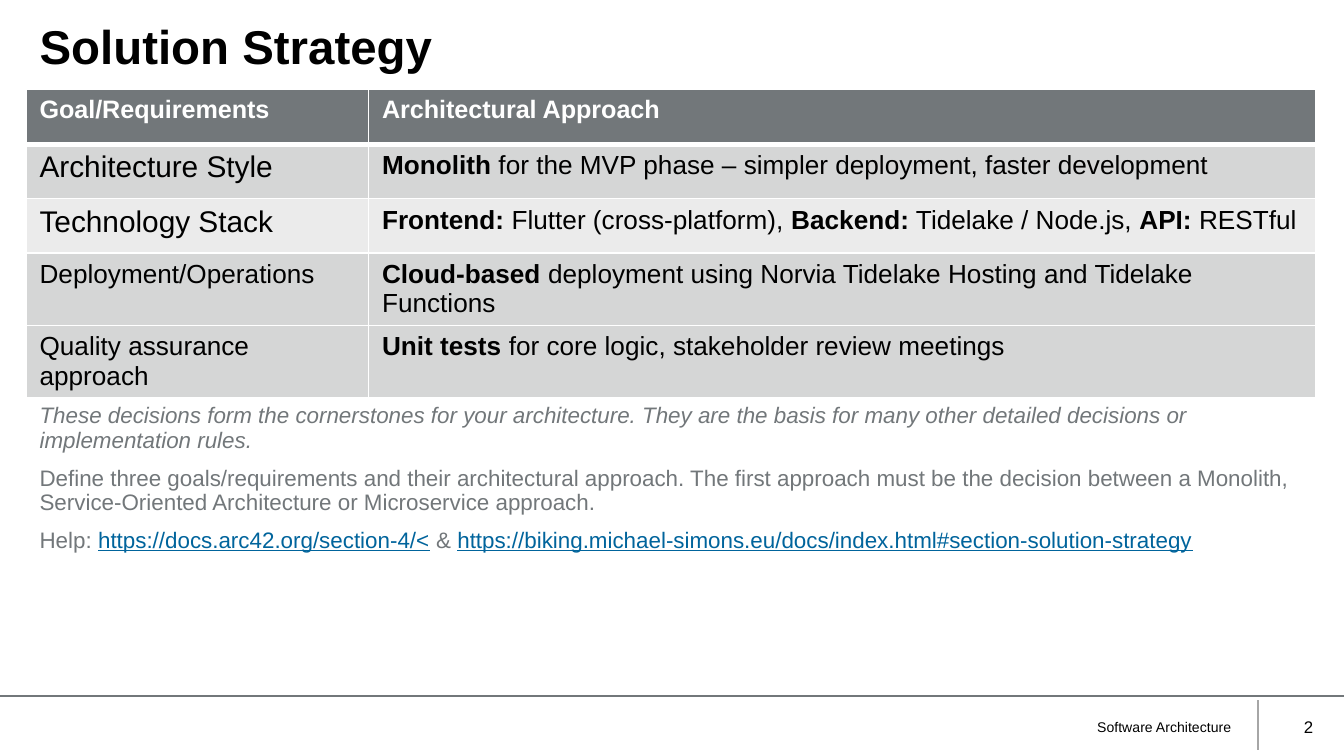
from lxml import etree
from pptx import Presentation
from pptx.dml.color import RGBColor
from pptx.enum.shapes import MSO_CONNECTOR
from pptx.enum.text import MSO_ANCHOR, MSO_AUTO_SIZE, PP_ALIGN
from pptx.oxml.ns import qn
from pptx.util import Pt

STRAIGHT = MSO_CONNECTOR.STRAIGHT
TOP, MIDDLE = MSO_ANCHOR.TOP, MSO_ANCHOR.MIDDLE
NO_FIT = MSO_AUTO_SIZE.NONE
LEFT, RIGHT = PP_ALIGN.LEFT, PP_ALIGN.RIGHT

BLACK = RGBColor(0x00, 0x00, 0x00)
WHITE = RGBColor(0xFF, 0xFF, 0xFF)
GREY = RGBColor(0x72, 0x77, 0x7A)
RULE_GREY = RGBColor(0xA6, 0xA6, 0xA6)
BAND_DARK = RGBColor(0xD5, 0xD6, 0xD6)
BAND_LIGHT = RGBColor(0xEB, 0xEB, 0xEB)
LINK_BLUE = RGBColor(0x00, 0x64, 0x9C)

FONT = "Arial"
PAGE_WIDTH, PAGE_HEIGHT = 720, 405
MARGIN = 14
CONTENT_WIDTH = 691
COLUMN_WIDTHS = (183.5, CONTENT_WIDTH - 183.5)
ROW_HEIGHT = 29.2
THIN, THICK = 0.96, 3

HEADINGS = ("Goal/Requirements", "Architectural Approach")
# Goal, goal text size, band colour, approach as (text, bold) parts
STRATEGY = [
    ("Architecture Style", 16, BAND_DARK,
     [("Monolith", True),
      (" for the MVP phase – simpler deployment, faster development", False)]),
    ("Technology Stack", 16, BAND_LIGHT,
     [("Frontend:", True), (" Flutter (cross-platform), ", False),
      ("Backend:", True), (" Tidelake / Node.js, ", False),
      ("API:", True), (" RESTful", False)]),
    ("Deployment/Operations", 14, BAND_DARK,
     [("Cloud-based", True),
      (" deployment using Norvia Tidelake Hosting and Tidelake Functions", False)]),
    ("Quality assurance approach", 14, BAND_DARK,
     [("Unit tests", True),
      (" for core logic, stakeholder review meetings", False)]),
]

LINK = {"color": LINK_BLUE, "underline": True}
NOTES = [
    [("These decisions form the cornerstones for your architecture. They are the "
      "basis for many other detailed decisions or implementation rules.",
      {"italic": True})],
    [("Define three goals/requirements and their architectural approach. The first "
      "approach must be the decision between a Monolith, Service-Oriented "
      "Architecture or Microservice approach.", {})],
    [("Help: ", {}),
     ("https://docs.arc42.org/section-4/<", LINK),
     (" & ", {}),
     ("https://biking.michael-simons.eu/docs/index.html#section-solution-strategy",
      LINK)],
]


def add_text(para, text, size=12, color=BLACK, bold=False, italic=False,
             underline=False):
    span = para.add_run()
    span.text = text
    font = span.font
    font.name, font.size = FONT, Pt(size)
    font.bold, font.italic, font.underline = bold, italic, underline
    font.color.rgb = color


def place(shape, box):
    shape.left, shape.top, shape.width, shape.height = map(Pt, box)


def set_frame(frame, anchor):
    frame.word_wrap = True
    frame.auto_size = NO_FIT
    frame.vertical_anchor = anchor


def add_rule(page, start, end, color):
    rule = page.shapes.add_connector(STRAIGHT, *map(Pt, start + end))
    rule.line.color.rgb = color
    rule.line.width = Pt(1)
    etree.SubElement(rule._element.spPr, qn("a:effectLst"))


def set_borders(cell, top, bottom):
    properties = cell._tc.get_or_add_tcPr()
    widths = {"lnL": THIN, "lnR": THIN, "lnT": top, "lnB": bottom}
    # Borders come before the fill in the cell properties
    for position, (side, width) in enumerate(widths.items()):
        line = etree.Element(qn(f"a:{side}"), w=str(int(Pt(width))))
        fill = etree.SubElement(line, qn("a:solidFill"))
        etree.SubElement(fill, qn("a:srgbClr"), val=str(WHITE))
        properties.insert(position, line)


def fill_cell(cell, parts, band, top=THIN, bottom=THIN, **text_format):
    cell.fill.solid()
    cell.fill.fore_color.rgb = band
    set_borders(cell, top, bottom)
    para = cell.text_frame.paragraphs[0]
    for text, bold in parts:
        add_text(para, text, bold=bold, **text_format)


def build_title(page, box):
    title = page.shapes.title
    place(title, box)
    set_frame(title.text_frame, MIDDLE)
    para = title.text_frame.paragraphs[0]
    para.alignment, para.line_spacing = LEFT, 0.9
    add_text(para, "Solution Strategy", size=25.4, bold=True)


def build_notes(page, box):
    body = page.placeholders[1]
    place(body, box)
    frame = body.text_frame
    set_frame(frame, TOP)
    for index, spans in enumerate(NOTES):
        para = frame.add_paragraph() if index else frame.paragraphs[0]
        para.line_spacing = 0.9
        para.space_before = para.space_after = Pt(3.7)
        properties = para._p.get_or_add_pPr()
        properties.set("marL", "0")
        properties.set("indent", "0")
        etree.SubElement(properties, qn("a:buNone"))
        for text, text_format in spans:
            add_text(para, text, **{"color": GREY, **text_format})


def build_strategy_table(page, box):
    table = page.shapes.add_table(len(STRATEGY) + 1, len(COLUMN_WIDTHS),
                                  *map(Pt, box)).table
    for column, width in zip(table.columns, COLUMN_WIDTHS):
        column.width = Pt(width)
    for row in table.rows:
        row.height = Pt(ROW_HEIGHT)
    # Heading row
    for column, heading in enumerate(HEADINGS):
        fill_cell(table.cell(0, column), [(heading, True)], GREY, bottom=THICK,
                  size=13.5, color=WHITE)
    # Goals and approaches
    for row, (goal, goal_size, band, approach) in enumerate(STRATEGY, start=1):
        top = THICK if row == 1 else THIN
        fill_cell(table.cell(row, 0), [(goal, False)], band, top, size=goal_size)
        fill_cell(table.cell(row, 1), approach, band, top, size=14)


def build_footer(page, box):
    left, top, width, height = box
    divider = left + 673.9
    add_rule(page, (divider, top + 2.2), (divider, top + height - 3.2), RULE_GREY)
    add_rule(page, (left, top), (left + width, top), GREY)
    for text, size, start, label_width in (
            ("Software Architecture", 7.5, 219.6, 447.1),
            ("2", 9, 672.5, 38.2)):
        label = page.shapes.add_textbox(Pt(left + start), Pt(top + 5.7),
                                        Pt(label_width), Pt(21.6))
        set_frame(label.text_frame, MIDDLE)
        para = label.text_frame.paragraphs[0]
        para.alignment = RIGHT
        add_text(para, text, size=size)


def main():
    deck = Presentation()
    deck.slide_width, deck.slide_height = Pt(PAGE_WIDTH), Pt(PAGE_HEIGHT)
    page = deck.slides.add_slide(deck.slide_layouts[1])
    build_footer(page, (0, 373, PAGE_WIDTH, PAGE_HEIGHT - 373))
    build_title(page, (MARGIN, 9, CONTENT_WIDTH, 34.6))
    build_notes(page, (MARGIN, 213.1, CONTENT_WIDTH, 150))
    build_strategy_table(page, (MARGIN, 48, CONTENT_WIDTH,
                                ROW_HEIGHT * (len(STRATEGY) + 1)))
    deck.save("out.pptx")


if __name__ == "__main__":
    main()
